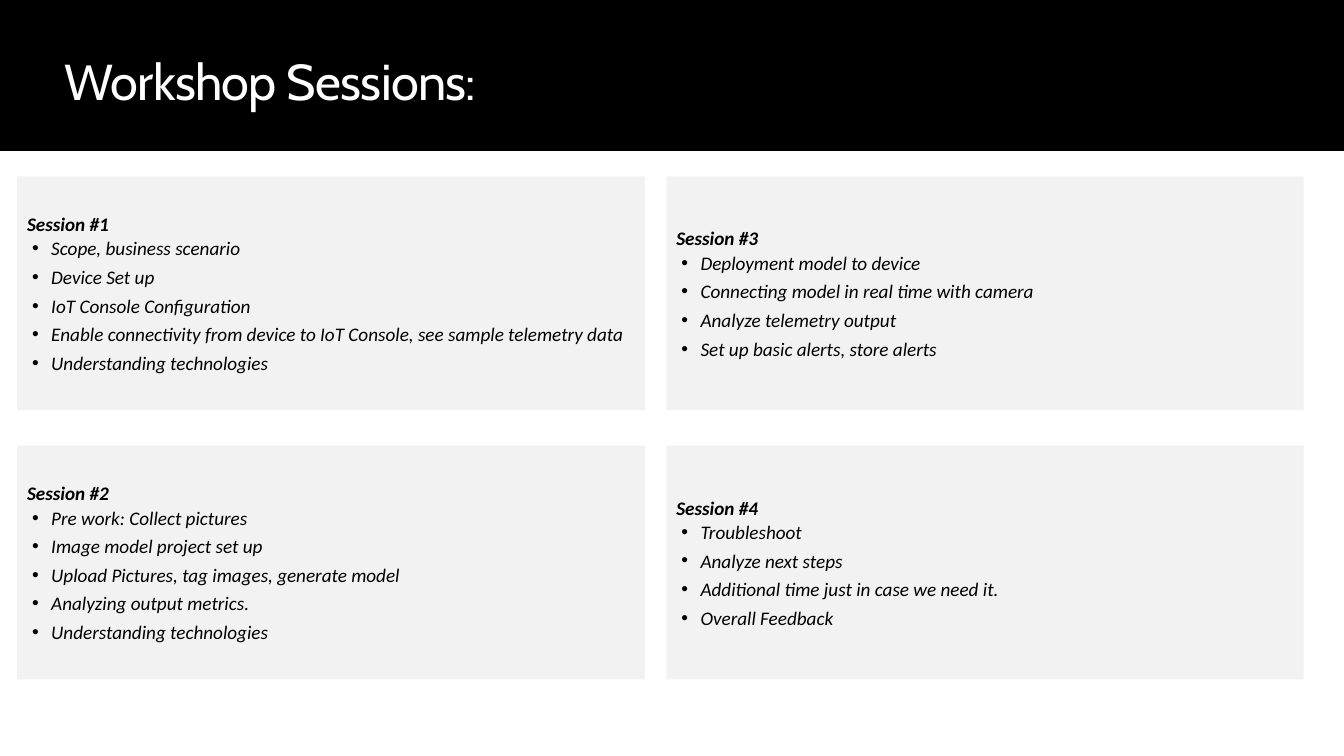
from dataclasses import dataclass

from lxml import etree
from pptx import Presentation
from pptx.dml.color import RGBColor
from pptx.enum.shapes import MSO_SHAPE
from pptx.enum.text import MSO_ANCHOR, MSO_AUTO_SIZE, PP_ALIGN
from pptx.oxml.ns import qn
from pptx.util import Inches, Pt

RECT = MSO_SHAPE.RECTANGLE
LEFT = PP_ALIGN.LEFT
TOP, MIDDLE = MSO_ANCHOR.TOP, MSO_ANCHOR.MIDDLE
GROW = MSO_AUTO_SIZE.SHAPE_TO_FIT_TEXT


@dataclass
class Theme:
    black = RGBColor(0x00, 0x00, 0x00)
    white = RGBColor(0xFF, 0xFF, 0xFF)
    card = RGBColor(0xF2, 0xF2, 0xF2)
    head_font = "Cabin"
    body_font = "Calibri"
    head_size = Pt(36)
    body_size = Pt(13.7)


def add_rect(left, top, width, height, color):
    box = slide.shapes.add_shape(
        RECT, Inches(left), Inches(top), Inches(width), Inches(height))
    box.shadow.inherit = False
    box.fill.solid()
    box.fill.fore_color.rgb = color
    box.line.fill.background()
    return box


def write(para, text, font=Theme.body_font, size=Theme.body_size,
          color=Theme.black, bold=False, italic=False, bullet=False,
          track=None):
    """Fill a paragraph with one formatted run; track is in 1/100 point."""
    para.alignment = LEFT
    if bullet:
        props = para._p.get_or_add_pPr()
        props.set("marL", str(Inches(0.24)))
        props.set("indent", str(Inches(-0.19)))
        face = etree.SubElement(props, qn("a:buFont"))
        face.set("typeface", "Arial")
        etree.SubElement(props, qn("a:buChar")).set("char", "•")
        para.space_before, para.space_after = Pt(1), Pt(3)
    run = para.add_run()
    run.text = text
    run.font.name = font
    run.font.size = size
    run.font.color.rgb = color
    run.font.bold = bold
    run.font.italic = italic
    if track is not None:
        run._r.get_or_add_rPr().set("spc", str(track))


deck = Presentation()
deck.slide_width, deck.slide_height = Inches(13.33), Inches(7.5)
slide = deck.slides.add_slide(deck.slide_layouts[5])
slide.background.fill.solid()
slide.background.fill.fore_color.rgb = Theme.black

title = slide.shapes.title
title.left, title.top = Inches(0.64), Inches(0.5)
title.width, title.height = Inches(12.05), Inches(0.61)
frame = title.text_frame
frame.margin_left = frame.margin_right = 0
frame.margin_top = frame.margin_bottom = 0
frame.vertical_anchor = TOP
frame.word_wrap = True
frame.auto_size = GROW
write(frame.paragraphs[0], "Workshop Sessions:", font=Theme.head_font,
      size=Theme.head_size, color=Theme.white, track=-50)

add_rect(0, 1.5, 13.33, 6, Theme.white)

columns = [(0.17, 6.23), (6.61, 6.32)]  # left, width
rows = [1.75, 4.42]
sessions = [
    ["Scope, business scenario",
     "Device Set up",
     "IoT Console Configuration",
     "Enable connectivity from device to IoT Console, see sample telemetry data",
     "Understanding technologies"],
    ["Pre work: Collect pictures",
     "Image model project set up",
     "Upload Pictures, tag images, generate model",
     "Analyzing output metrics.",
     "Understanding technologies"],
    ["Deployment model to device",
     "Connecting model in real time with camera",
     "Analyze telemetry output",
     "Set up basic alerts, store alerts"],
    ["Troubleshoot",
     "Analyze next steps",
     "Additional time just in case we need it.",
     "Overall Feedback"],
]

for index, topics in enumerate(sessions):
    column, row = divmod(index, len(rows))
    left, width = columns[column]
    card = add_rect(left, rows[row], width, 2.32, Theme.card)
    frame = card.text_frame
    frame.word_wrap = True
    frame.vertical_anchor = MIDDLE
    write(frame.paragraphs[0], f"Session #{index + 1}", bold=True, italic=True)
    for topic in topics:
        write(frame.add_paragraph(), topic, italic=True, bullet=True)

deck.save("out.pptx")
